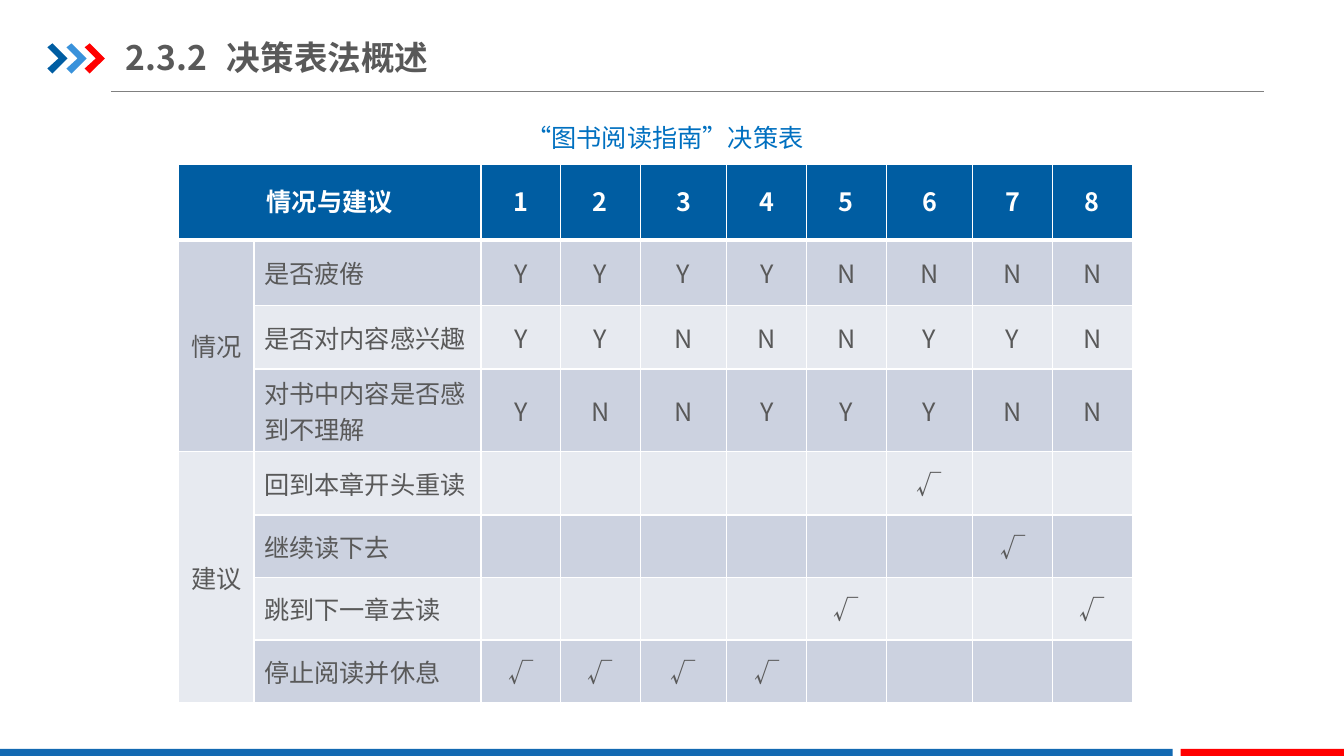
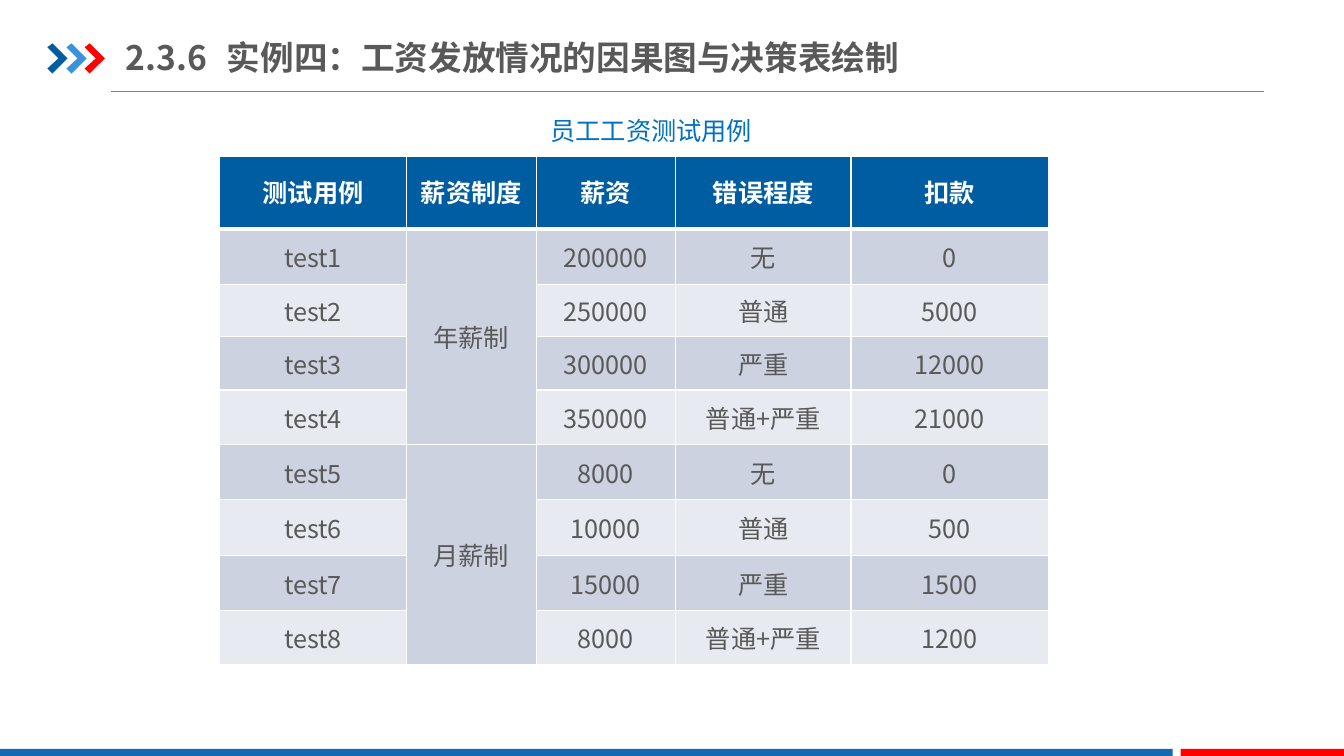
from lxml import etree
from pptx import Presentation
from pptx.dml.color import RGBColor
from pptx.enum import shapes, text
from pptx.oxml import ns
from pptx.util import Inches, Pt

FONT = "Noto Sans CJK SC"
NAVY = RGBColor(0x00, 0x5D, 0xA2)
SKY = RGBColor(0x39, 0x92, 0xDB)
RED = RGBColor(0xFF, 0x00, 0x00)
FOOTER_BLUE = RGBColor(0x13, 0x69, 0xB2)
CAPTION_BLUE = RGBColor(0x00, 0x70, 0xC0)
GRAY = RGBColor(0x59, 0x59, 0x59)
RULE_GRAY = RGBColor(0x80, 0x80, 0x80)
WHITE = RGBColor(0xFF, 0xFF, 0xFF)
BAND_DARK = RGBColor(0xCC, 0xD2, 0xE0)
BAND_LIGHT = RGBColor(0xE7, 0xEA, 0xF0)

CENTER = text.PP_ALIGN.CENTER
MIDDLE = text.MSO_ANCHOR.MIDDLE


def format_runs(paragraph, size, color, bold=False):
    for run in paragraph.runs:
        font = run.font
        font.size, font.bold, font.name = Pt(size), bold, FONT
        font.color.rgb = color
        east_asian = etree.SubElement(font._element, ns.qn("a:ea"))
        east_asian.set("typeface", FONT)


def paint(shape, color):
    shape.shadow.inherit = False
    shape.fill.solid()
    shape.fill.fore_color.rgb = color
    shape.line.fill.background()


def add_text(slide, box, content, insets):
    shape = slide.shapes.add_textbox(*map(Inches, box))
    frame = shape.text_frame
    frame.margin_left = frame.margin_right = Inches(insets[0])
    frame.margin_top = frame.margin_bottom = Inches(insets[1])
    frame.text = content
    return frame, frame.paragraphs[0]


# Shared frame: chevrons, rule, footer bands
def add_chevron(slide, left, top, color):
    outline = [(0, 0.04), (0.05, 0), (0.2, 0.15), (0.05, 0.3), (0, 0.25), (0.11, 0.15)]
    points = [(Inches(left + x), Inches(top + y)) for x, y in outline]
    builder = slide.shapes.build_freeform(*points[0])
    builder.add_line_segments(points[1:], close=True)
    paint(builder.convert_to_shape(), color)


def add_frame(slide):
    rule = slide.shapes.add_connector(
        shapes.MSO_CONNECTOR.STRAIGHT, Inches(1.1), Inches(0.91), Inches(12.54), Inches(0.91))
    rule.line.color.rgb = RULE_GRAY
    rule.line.width = Pt(0.75)
    etree.SubElement(rule._element.spPr, ns.qn("a:effectLst"))
    for left, color in ((0.47, NAVY), (0.66, SKY), (0.84, RED)):
        add_chevron(slide, left, 0.43, color)
    for left, width, color in ((0, 11.63, FOOTER_BLUE), (11.71, 1.63, RED)):
        band = slide.shapes.add_shape(
            shapes.MSO_SHAPE.RECTANGLE, Inches(left), Inches(7.43), Inches(width), Inches(0.09))
        paint(band, color)


def add_title(slide, number, title, width):
    frame, paragraph = add_text(slide, (1.25, 0.29, width, 0.55), f"{number}\t{title}", (0, 0.07))
    frame.word_wrap = False
    frame.vertical_anchor = MIDDLE
    tabs = etree.SubElement(paragraph._p.get_or_add_pPr(), ns.qn("a:tabLst"))
    etree.SubElement(tabs, ns.qn("a:tab"), pos=str(Inches(1)), algn="l")
    format_runs(paragraph, 24, GRAY, bold=True)


def add_caption(slide, box, content):
    frame, paragraph = add_text(slide, box, content, (0.13, 0.07))
    frame.word_wrap = True
    paragraph.alignment = text.PP_ALIGN.JUSTIFY
    paragraph.line_spacing = 1.5
    format_runs(paragraph, 18, CAPTION_BLUE)


# Tables
def set_borders(cell, row):
    """White grid with a thick line under the header."""
    properties = cell._tc.get_or_add_tcPr()
    widths = {"L": 1, "R": 1, "T": 3 if row == 1 else 1, "B": 3 if row == 0 else 1}
    for side, width in widths.items():
        line = etree.SubElement(properties, ns.qn(f"a:ln{side}"), w=str(Pt(width)))
        fill = etree.SubElement(line, ns.qn("a:solidFill"))
        etree.SubElement(fill, ns.qn("a:srgbClr"), val=str(WHITE))


def fill_cell(cell, content, row, alignment):
    header = row == 0
    set_borders(cell, row)
    cell.fill.solid()
    cell.fill.fore_color.rgb = NAVY if header else BAND_DARK if row % 2 else BAND_LIGHT
    cell.vertical_anchor = MIDDLE
    if not content:
        return
    cell.text_frame.text = content
    paragraph = cell.text_frame.paragraphs[0]
    paragraph.alignment = alignment
    if header:
        paragraph.line_spacing = 0.9
    format_runs(paragraph, 18, WHITE if header else GRAY, bold=header)


def add_grid(slide, left, top, widths, heights, rows, merges, left_column=None):
    table = slide.shapes.add_table(
        len(heights), len(widths), Inches(left), Inches(top),
        Inches(sum(widths)), Inches(sum(heights))).table
    table.horz_banding = False
    for column, width in zip(table.columns, widths):
        column.width = Inches(width)
    for table_row, height in zip(table.rows, heights):
        table_row.height = Inches(height)
    for r, values in enumerate(rows):
        for c, value in enumerate(values):
            alignment = text.PP_ALIGN.LEFT if r and c == left_column else CENTER
            fill_cell(table.cell(r, c), value, r, alignment)
    for first, last in merges:
        table.cell(*first).merge(table.cell(*last))


def add_table_slide(presentation, title, caption, grid):
    slide = presentation.slides.add_slide(presentation.slide_layouts[6])
    add_frame(slide)
    add_caption(slide, *caption)
    add_grid(slide, **grid)
    add_title(slide, *title)


def decision_rows():
    conditions = [("情况", "是否疲倦", "YYYYNNNN"),
                  ("", "是否对内容感兴趣", "YYNNNYYN"),
                  ("", "对书中内容是否感到不理解", "YNNYYYNN")]
    # Rule numbers to which each suggestion applies
    suggestions = [("建议", "回到本章开头重读", "6"), ("", "继续读下去", "7"),
                   ("", "跳到下一章去读", "58"), ("", "停止阅读并休息", "1234")]
    rules = "12345678"
    rows = [["情况与建议", "", *rules]]
    rows += [[group, label, *marks] for group, label, marks in conditions]
    rows += [[group, label, *("√" if rule in chosen else "" for rule in rules)]
             for group, label, chosen in suggestions]
    return rows


def salary_rows():
    errors = ["无", "普通", "严重", "普通+严重"]
    systems = [("年薪制", [("200000", "0"), ("250000", "5000"),
                          ("300000", "12000"), ("350000", "21000")]),
               ("月薪制", [("8000", "0"), ("10000", "500"),
                          ("15000", "1500"), ("8000", "1200")])]
    rows = [["测试用例", "薪资制度", "薪资", "错误程度", "扣款"]]
    for system, cases in systems:
        for index, (salary, deduction) in enumerate(cases):
            rows.append([f"test{len(rows)}", "" if index else system,
                         salary, errors[index], deduction])
    return rows


def main():
    presentation = Presentation()
    presentation.slide_width = Inches(13.33)
    presentation.slide_height = Inches(7.5)

    add_table_slide(
        presentation,
        ("2.3.2", "决策表法概述", 4.26),
        ((5.09, 0.99, 3.2, 0.63), "“图书阅读指南”决策表"),
        dict(left=1.77, top=1.63,
             widths=[0.75, 2.25] + [0.79, 0.79, 0.86] * 2 + [0.79, 0.79],
             heights=[0.75, 0.65, 0.63, 0.82, 0.63] + [0.62] * 3,
             rows=decision_rows(), left_column=1,
             merges=[((0, 0), (0, 1)), ((1, 0), (3, 0)), ((4, 0), (7, 0))]))

    add_table_slide(
        presentation,
        ("2.3.6", "实例四：工资发放情况的因果图与决策表绘制", 7.67),
        ((5.33, 0.92, 2.43, 0.73), "员工工资测试用例"),
        dict(left=2.18, top=1.55,
             widths=[1.85, 1.29, 1.38, 1.74, 1.96],
             heights=[0.72, 0.55, 0.52, 0.53, 0.54, 0.55, 0.55, 0.55, 0.53],
             rows=salary_rows(),
             merges=[((1, 1), (4, 1)), ((5, 1), (8, 1))]))

    presentation.save("out.pptx")


if __name__ == "__main__":
    main()
